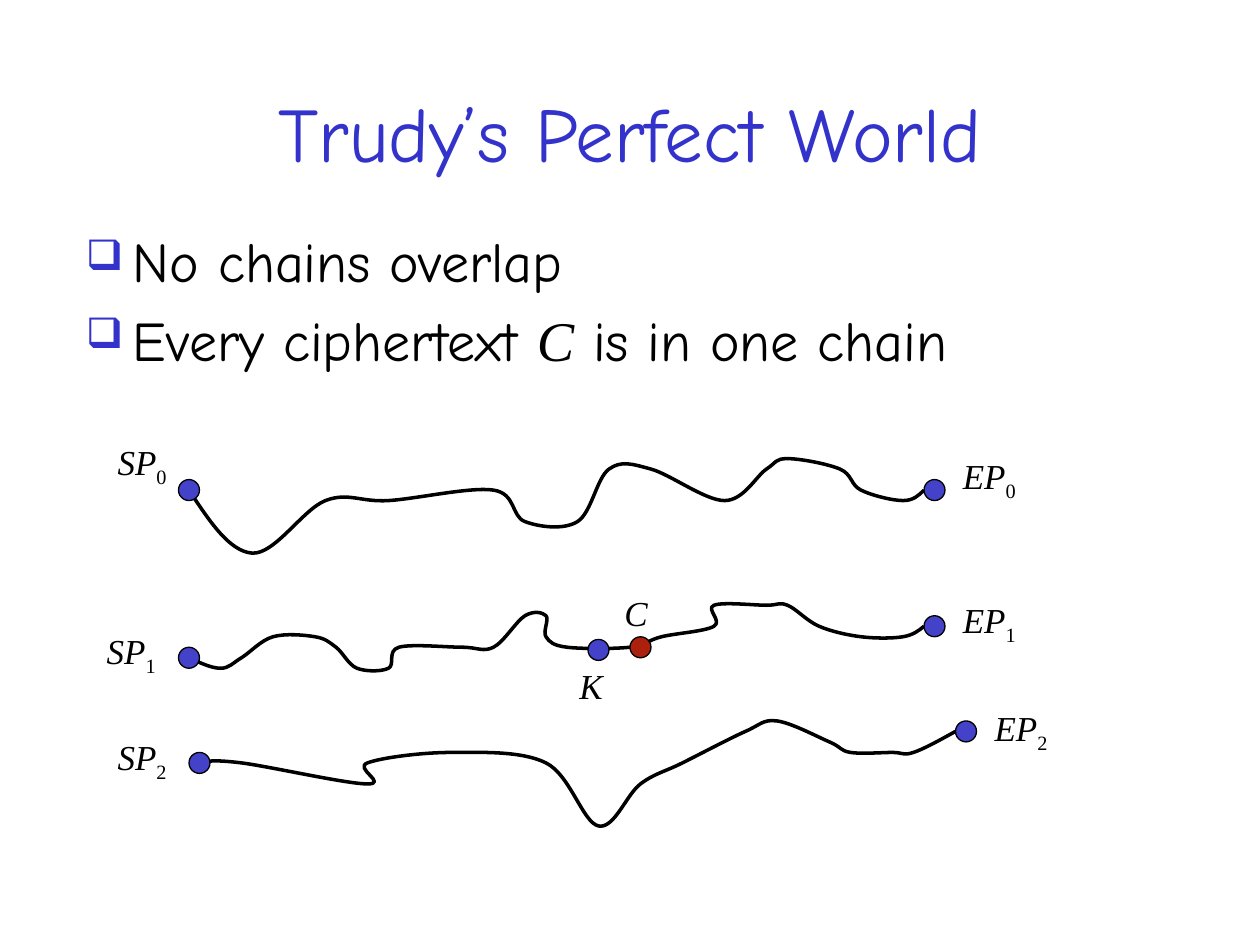
from dataclasses import dataclass

from lxml.etree import SubElement
from pptx import Presentation
from pptx.dml.color import RGBColor
from pptx.enum.shapes import MSO_SHAPE
from pptx.enum.text import MSO_ANCHOR, MSO_AUTO_SIZE, PP_ALIGN
from pptx.oxml.ns import qn
from pptx.util import Cm, Pt


@dataclass(frozen=True)
class Theme:
    heading: RGBColor = RGBColor(0x33, 0x33, 0xCC)
    ink: RGBColor = RGBColor(0, 0, 0)
    point: RGBColor = RGBColor(0x43, 0x42, 0xC9)
    ciphertext: RGBColor = RGBColor(0xAC, 0x21, 0x0D)
    sans: str = "Comic Neue"
    serif: str = "Times New Roman"
    title_size: Pt = Pt(44)
    body_size: Pt = Pt(32)
    label_size: Pt = Pt(20)


theme = Theme()
CELL = Cm(2.54) // 12  # drawing grid
DOT = 2 * CELL

title_font = {"name": theme.sans, "size": theme.title_size}
body_font = {"name": theme.sans, "size": theme.body_size, "italic": False}
symbol_font = {"name": theme.serif, "size": theme.body_size, "italic": True}
label_font = {"name": theme.serif, "size": theme.label_size, "italic": True}
subscript_font = label_font | {"italic": False}


def add_run(paragraph, text, font, color=theme.ink):
    run = paragraph.add_run()
    run.text = text
    for name, value in font.items():
        setattr(run.font, name, value)
    run.font.color.rgb = color
    return run


def smooth(shape):
    """Turn the straight segments of a freeform into a curve through its points."""
    path = next(shape._element.iter(qn("a:path")))
    knots = [(int(pt.get("x")), int(pt.get("y"))) for pt in path.iter(qn("a:pt"))]
    last = len(knots) - 1
    for i, segment in enumerate(path.findall(qn("a:lnTo"))):
        start, end = knots[i], knots[i + 1]
        before, after = knots[max(i - 1, 0)], knots[min(i + 2, last)]
        leave = [s + (e - b) / 6 for s, e, b in zip(start, end, before)]
        arrive = [e - (a - s) / 6 for e, a, s in zip(end, after, start)]
        if i == 0:
            leave = [(s + h) / 2 for s, h in zip(start, arrive)]
        elif i + 1 == last:
            arrive = [(e + h) / 2 for e, h in zip(end, leave)]
        segment.tag = qn("a:cubicBezTo")
        segment.clear()
        for x, y in (leave, arrive, end):
            SubElement(segment, qn("a:pt"), x=str(round(x)), y=str(round(y)))


presentation = Presentation()
presentation.slide_width, presentation.slide_height = Cm(25.4), Cm(19.05)
slide = presentation.slides.add_slide(presentation.slide_layouts[5])
shapes = slide.shapes

title = shapes.title
title.left, title.top, title.width, title.height = Cm(1.9), Cm(1.07), Cm(21.6), Cm(3.18)
title.text_frame.vertical_anchor = MSO_ANCHOR.MIDDLE
title.text_frame.auto_size = MSO_AUTO_SIZE.NONE
paragraph = title.text_frame.paragraphs[0]
paragraph.alignment = PP_ALIGN.CENTER
add_run(paragraph, "Trudy’s Perfect World", title_font, theme.heading)

# Bullet points
bullets = [
    [("No chains overlap", body_font)],
    [("Every ciphertext ", body_font), ("C", symbol_font), (" is in one chain", body_font)],
]
body = shapes.add_textbox(Cm(1.48), Cm(4.45), Cm(22.65), Cm(3.6)).text_frame
body.word_wrap = True
for i, runs in enumerate(bullets):
    paragraph = body.add_paragraph() if i else body.paragraphs[0]
    properties = paragraph._p.get_or_add_pPr()
    properties.set("marL", str(Cm(0.95)))
    properties.set("indent", str(Cm(-0.95)))
    spacing = SubElement(properties, qn("a:spcBef"))
    SubElement(spacing, qn("a:spcPct"), val="20000")
    color = SubElement(properties, qn("a:buClr"))
    SubElement(color, qn("a:srgbClr"), val=str(theme.heading))
    SubElement(properties, qn("a:buSzPct"), val="75000")
    SubElement(properties, qn("a:buChar"), char="❑")
    for text, font in runs:
        add_run(paragraph, text, font)

# Chains: height of the starting point, then knots in grid cells (y from that height)
chains = [
    (Cm(9.88), [(18, 0), (24, 6), (31, 1), (37, 1), (47, 0), (50, 3), (55, 3), (58, -2),
                (62, -2), (69, 1), (73, -2), (75, -3), (80, -2), (82, 0), (86, 1), (88, 0)]),
    (Cm(13.26), [(18, 0), (21, 1), (23, 0), (26, -2), (30, -2), (32, -1), (34, 1), (37, 1),
                 (38, -1), (44, -1), (47, -1), (50, -4), (52, -4), (52, -2), (54, -1),
                 (60, -1), (63, -2), (68, -3), (68, -5), (73, -5), (75, -5), (78, -3),
                 (82, -2), (86, -2), (88, -3)]),
    (Cm(15.38), [(19, 0), (23, 0), (35, 2), (35, 0), (43, -1), (52, 0), (57, 6), (61, 2),
                 (65, 0), (71, -3), (74, -4), (79, -2), (81, -1), (85, -1), (87, -1),
                 (91, -3)]),
]
dots = []
for start_height, knots in chains:
    points = [(x * CELL, y * CELL) for x, y in knots]
    builder = shapes.build_freeform(*points[0])
    builder.add_line_segments(points[1:], close=False)
    chain = builder.convert_to_shape(0, start_height)
    smooth(chain)
    chain.shadow.inherit = False
    chain.fill.background()
    chain.line.color.rgb = theme.ink
    chain.line.width = Pt(2)
    (start_x, start_y), (end_x, end_y) = points[0], points[-1]
    dots += [(start_x, start_height + start_y, theme.point),
             (end_x + CELL, start_height + end_y, theme.point)]

middle_height = chains[1][0]
dots += [(61 * CELL, middle_height - CELL, theme.ciphertext),
         (57 * CELL, middle_height - CELL * 3 // 4, theme.point)]
for x, y, color in dots:
    dot = shapes.add_shape(MSO_SHAPE.OVAL, x - DOT // 2, y - DOT // 2, DOT, DOT)
    dot.shadow.inherit = False
    dot.fill.solid()
    dot.fill.fore_color.rgb = color
    dot.line.color.rgb = theme.ink
    dot.line.width = Pt(0.75)

# Labels: letters, subscript, left, top
labels = [
    ("SP", "0", 2.12, 8.76), ("SP", "1", 1.9, 12.57), ("SP", "2", 2.12, 14.71),
    ("EP", "0", 19.16, 9.04), ("EP", "1", 19.16, 11.94), ("EP", "2", 19.8, 14.12),
    ("C", "", 12.34, 11.79), ("K", "", 11.43, 13.28),
]
label_widths = {"SP": Cm(1.52), "EP": Cm(1.6), "C": Cm(1), "K": Cm(1)}
for letters, subscript, left, top in labels:
    label = shapes.add_textbox(Cm(left), Cm(top), label_widths[letters], Cm(1.09)).text_frame
    label.word_wrap = False
    label.auto_size = MSO_AUTO_SIZE.SHAPE_TO_FIT_TEXT
    paragraph = label.paragraphs[0]
    add_run(paragraph, letters, label_font)
    if subscript:
        run = add_run(paragraph, subscript, subscript_font)
        run._r.get_or_add_rPr().set("baseline", "-25000")

presentation.save("out.pptx")
